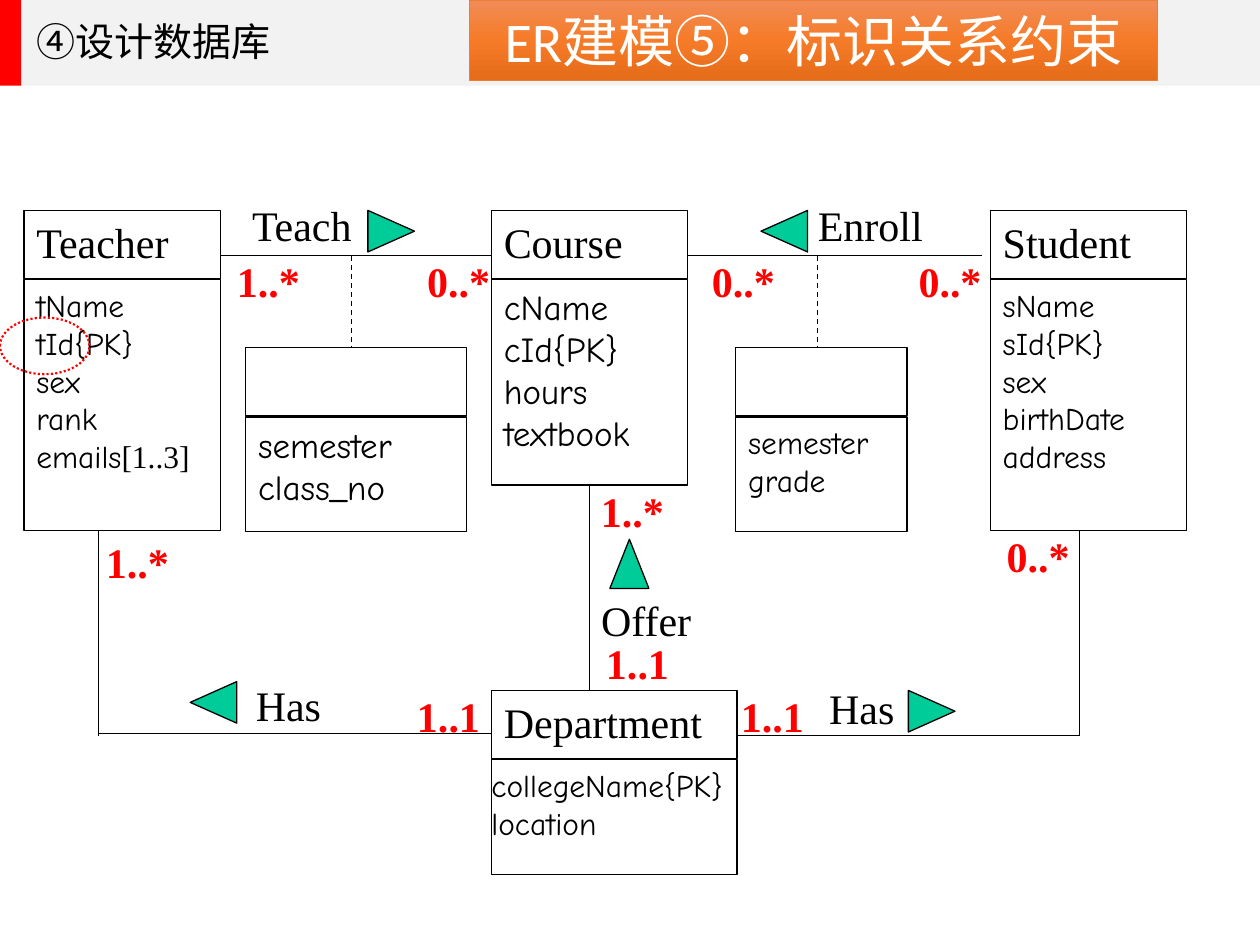
from copy import deepcopy
from pptx import Presentation
from pptx.dml.color import RGBColor
from pptx.enum.dml import MSO_LINE as Dash
from pptx.enum.shapes import MSO_CONNECTOR as Conn, MSO_SHAPE as Kind
from pptx.enum.text import MSO_ANCHOR as Anchor, PP_ALIGN as Align
from pptx.oxml.ns import qn
from pptx.oxml.xmlchemy import OxmlElement
from pptx.util import Inches, Pt

SERIF, HAND, SANS = "Times New Roman", "Comic Neue", "Calibri"
RED, BLACK, GREEN = "FF0000", "000000", "00CC99"
HEAD = 0.54  # height of the name part of an entity


def color(code):
    return RGBColor.from_string(code)


def write(frame, text, size=24, font=SERIF, ink=BLACK, bold=False,
          align=Align.JUSTIFY, anchor=Anchor.TOP, inset=(0.1, 0.05), space=None):
    """Fill a text frame; a line is a string or a list of (text, font) runs."""
    frame.word_wrap = True
    frame.vertical_anchor = anchor
    frame.margin_left = frame.margin_right = Inches(inset[0])
    frame.margin_top = frame.margin_bottom = Inches(inset[1])
    lines = [text] if isinstance(text, str) else text
    for i, line in enumerate(lines):
        para = frame.add_paragraph() if i else frame.paragraphs[0]
        para.alignment = align
        para.line_spacing = space
        for part, face in [(line, font)] if isinstance(line, str) else line:
            run = para.add_run()
            run.text = part
            run.font.name, run.font.size, run.font.bold = face, Pt(size), bold
            run.font.color.rgb = color(ink)


def paint(shape, fill=None, line=None, width=0.75):
    shape.shadow.inherit = False
    if fill:
        shape.fill.solid()
        shape.fill.fore_color.rgb = color(fill)
    else:
        shape.fill.background()
    if line:
        shape.line.color.rgb = color(line)
        shape.line.width = Pt(width)
    else:
        shape.line.fill.background()
    return shape


def block(slide, x, y, w, h, kind=Kind.RECTANGLE, **style):
    area = map(Inches, (x, y, w, h))
    return paint(slide.shapes.add_shape(kind, *area), **style)


def entity(slide, x, y, w, h, name, attrs, size=18, inset=(0.1, 0.05)):
    """Draw a name box with an attribute box of height h below it."""
    top = block(slide, x, y, w, HEAD, fill="FFFFFF", line=BLACK)
    if name:
        write(top.text_frame, name)
    body = block(slide, x, y + HEAD + 0.01, w, h, fill="FFFFFF", line=BLACK)
    write(body.text_frame, attrs, size=size, font=HAND, inset=inset)


def link(slide, x1, y1, x2, y2, dash=False):
    ends = map(Inches, (x1, y1, x2, y2))
    line = slide.shapes.add_connector(Conn.STRAIGHT, *ends)
    line.line.color.rgb = color(BLACK)
    line.line.width = Pt(0.75)
    if dash:
        line.line.dash_style = Dash.DASH
    line._element.spPr.append(OxmlElement("a:effectLst"))


def label(slide, x, y, text, w=1.05, h=0.45, **style):
    box = slide.shapes.add_textbox(*map(Inches, (x, y, w, h)))
    write(box.text_frame, text, inset=(0, 0), **style)


def arrow(slide, x, y, right):
    """Draw a reading-direction triangle in a 0.37 by 0.33 area."""
    base, tip = (x, x + 0.37) if right else (x + 0.37, x)
    pen = slide.shapes.build_freeform(Inches(base), Inches(y))
    pen.add_line_segments([(Inches(tip), Inches(y + 0.165)),
                           (Inches(base), Inches(y + 0.33))], close=True)
    paint(pen.convert_to_shape(), fill=GREEN, line=BLACK)


def header(slide):
    block(slide, 0, 0, 0.17, 0.68, fill=RED)
    block(slide, 0.17, 0, 9.83, 0.68, fill="F2F2F2")
    title = slide.shapes.title
    title.left, title.top, title.width, title.height = map(
        Inches, (0.19, 0.18, 7.37, 0.38))
    write(title.text_frame, "④设计数据库", size=22.3, font=SANS,
          align=Align.LEFT, anchor=Anchor.MIDDLE, space=0.7)
    slide.shapes._spTree.append(title._element)  # above the bars

    banner = block(slide, 3.73, 0, 5.46, 0.64, line="ED7D31", width=0.5)
    banner.fill.gradient()
    banner.fill.gradient_angle = 270
    stops = banner._element.spPr.find(".//" + qn("a:gsLst"))
    stops.append(deepcopy(stops[0]))
    shades = (0, "F18C57"), (0.5, "F67B28"), (1, "E56C19")
    for stop, (place, code) in zip(banner.fill.gradient_stops, shades):
        stop.position = place
        stop.color.rgb = color(code)
    write(banner.text_frame, "ER建模⑤：标识关系约束", size=32, font=SANS,
          ink="FFFFFF", align=Align.CENTER, anchor=Anchor.MIDDLE)


def main():
    deck = Presentation()
    deck.slide_width, deck.slide_height = Inches(10), Inches(7.5)
    slide = deck.slides.add_slide(deck.slide_layouts[5])
    header(slide)

    for ends in ((1.75, 2.03, 3.9, 2.03), (5.45, 2.03, 7.79, 2.03),
                 (4.68, 3.85, 4.68, 5.48), (0.78, 4.21, 0.78, 5.84),
                 (0.78, 5.82, 3.9, 5.82), (8.57, 4.21, 8.57, 5.84),
                 (5.84, 5.84, 8.57, 5.84)):
        link(slide, *ends)
    for x in (2.79, 6.49):
        link(slide, x, 2.03, x, 2.76, dash=True)

    entity(slide, 0.19, 1.67, 1.56, 1.99, "Teacher",
           ["tName", "tId{PK}", "sex", "rank",
            [("emails", HAND), ("[1..3]", SERIF)]])
    entity(slide, 3.9, 1.67, 1.56, 1.63, "Course",
           ["cName", "cId{PK}", "hours", "textbook"], size=20)
    entity(slide, 7.86, 1.67, 1.56, 1.99, "Student",
           ["sName", "sId{PK}", "sex", "birthDate address"])
    entity(slide, 3.9, 5.48, 1.95, 0.91, "Department",
           ["collegeName{PK}", "location"], inset=(0, 0.05))
    entity(slide, 1.95, 2.76, 1.75, 0.91, "", ["semester", "class_no"], size=20)
    entity(slide, 5.84, 2.76, 1.36, 0.91, "", ["semester", "grade"])

    for x, y, name in ((2, 1.58, "Teach"), (6.49, 1.58, "Enroll"),
                       (4.77, 4.72, "Offer"), (2.03, 5.39, "Has"),
                       (6.58, 5.42, "Has")):
        label(slide, x, y, name)
    for x, y, count in ((1.88, 2.03, "1..*"), (3.39, 2.03, "0..*"),
                        (5.65, 2.03, "0..*"), (7.29, 2.03, "0..*"),
                        (4.77, 3.85, "1..*"), (4.81, 5.06, "1..1"),
                        (0.84, 4.26, "1..*"), (3.31, 5.48, "1..1"),
                        (5.88, 5.48, "1..1"), (7.99, 4.21, "0..*")):
        label(slide, x, y, count, w=0.6, h=0.36, ink=RED, bold=True)

    for x, y, right in ((2.92, 1.67, True), (6.04, 1.67, False),
                        (7.21, 5.48, True), (1.51, 5.41, False)):
        arrow(slide, x, y, right)
    up = block(slide, 4.84, 4.28, 0.31, 0.39, kind=Kind.FLOWCHART_MERGE,
               fill=GREEN, line=BLACK)
    up.rotation = 180
    ring = block(slide, 0, 2.52, 0.71, 0.45, kind=Kind.OVAL, line=RED, width=1.25)
    ring.line.dash_style = Dash.ROUND_DOT
    deck.save("out.pptx")


if __name__ == "__main__":
    main()
